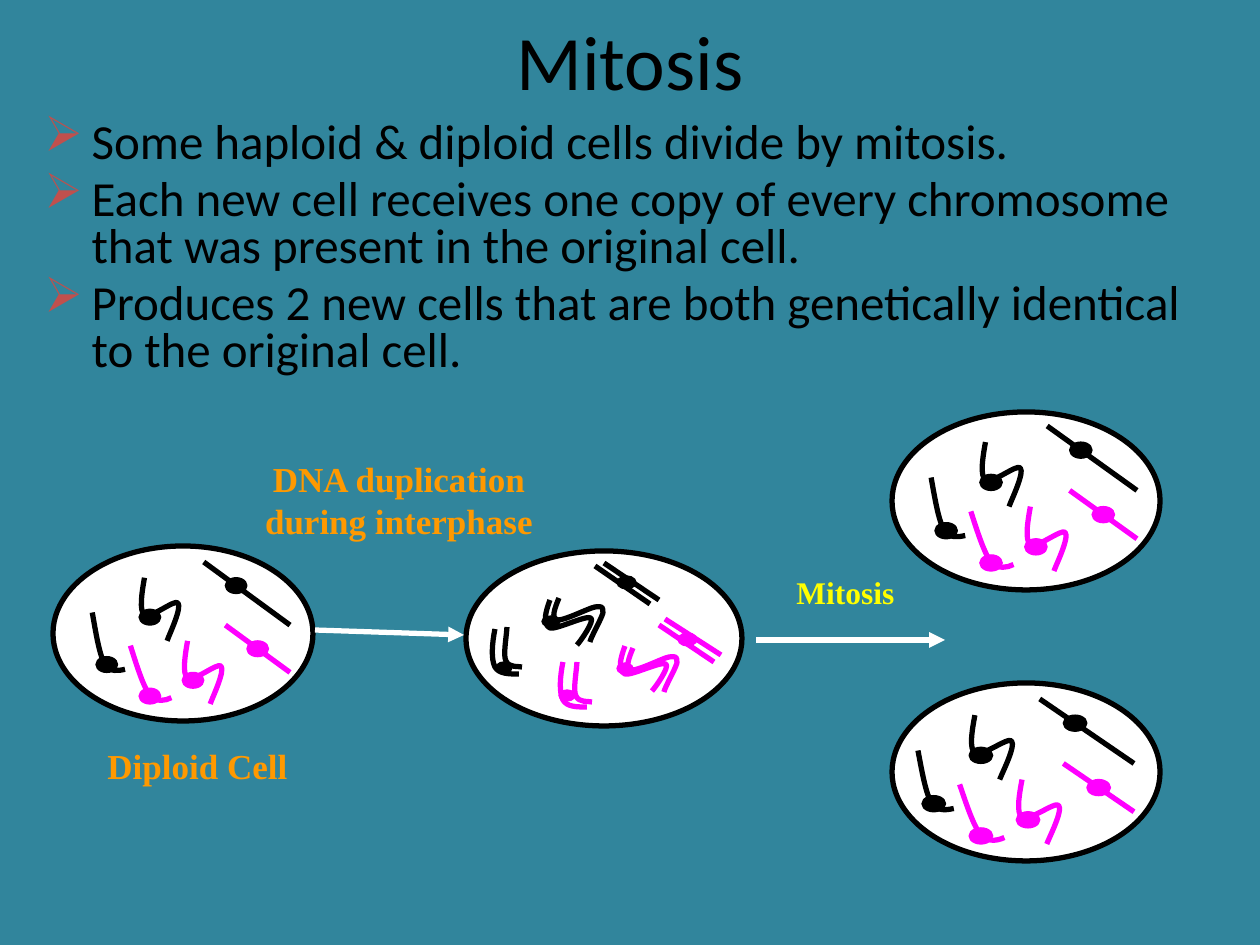
"""Build the slide on mitosis: three statements above a diagram of dividing cells."""
import pptx
import pptx.dml.color
import pptx.enum.shapes
import pptx.enum.text
import pptx.oxml.ns
import pptx.oxml.xmlchemy
import pptx.util

RGB = pptx.dml.color.RGBColor
SHAPES = pptx.enum.shapes.MSO_SHAPE
ALIGN = pptx.enum.text.PP_ALIGN
ANCHOR = pptx.enum.text.MSO_ANCHOR
PX = 914400 / 126

TEAL = RGB(0x31, 0x85, 0x9C)
BLACK = RGB(0, 0, 0)
WHITE = RGB(255, 255, 255)
MAGENTA = RGB(255, 0, 255)
ORANGE = RGB(0xFF, 0x99, 0)
YELLOW = RGB(255, 255, 0)
BULLET_RED = "C0504D"

TITLE = ("Mitosis", (63, -19, 1134, 158))
STATEMENTS = [
    "Some haploid & diploid cells divide by mitosis.",
    "Each new cell receives one copy of every chromosome that was present in the original cell.",
    "Produces 2 new cells that are both genetically identical to the original cell.",
]
STATEMENTS_BOX = (32, 116, 1187, 284)
LABELS = [
    ("DNA duplication during interphase", (231, 451, 336, 91), 20, ORANGE, ALIGN.CENTER),
    ("Mitosis", (746, 567, 199, 48), 18, YELLOW, ALIGN.CENTER),
    ("Diploid Cell", (95, 738, 285, 54), 20, ORANGE, ALIGN.LEFT),
]
ARROWS = [((315, 630), (464, 635)), ((756, 640), (945, 640))]

PLAIN_CELLS = [
    {"outline": (53, 546, 260, 175), "chromosome_area": (96, 562, 194, 142)},
    {"outline": (892, 412, 268, 178), "chromosome_area": (935, 426, 202, 145)},
    {"outline": (892, 683, 268, 178), "chromosome_area": (922, 699, 212, 145)},
]
GRID = 9
FOLDED = [(.25, 0), (.12, 1), (0, 2.1), (.25, 2.35), (.5, 2.65), (1.65, 1.35), (1.8, 1.6),
          (2, 1.9), (1.4, 3.6), (1.3, 4)]
HOOKED = [(-.17, .2), (0, 1.5), (.15, 2.8), (.4, 3.45), (.7, 4), (1, 3.9), (1.35, 3.8)]
TILTED_HOOK = [(-.4, .3), (-.1, 1.6), (.2, 2.9), (.5, 3.45), (.85, 3.9), (1.2, 3.8), (1.5, 3.6)]
SINGLE_SET = {
    "curves": [(FOLDED, (2, 1), BLACK), (HOOKED, (0, 3), BLACK),
               (TILTED_HOOK, (2, 5), MAGENTA), (FOLDED, (4, 5), MAGENTA)],
    "rods": [((5, 0), (9, 4), BLACK), ((6, 4), (9, 7), MAGENTA)],
    "centromeres": [((0, 6, 1, 1), BLACK), ((2, 3, 1, 1), BLACK), ((6, 1, 1, 1), BLACK),
                    ((2, 8, 1, 1), MAGENTA), ((4, 7, 1, 1), MAGENTA), ((7, 5, 1, 1), MAGENTA)],
}

DOUBLED_CELL = (466, 551, 276, 175)
OUTER_HOOK = [(4, 0), (1, 15), (0, 30), (4, 38), (8, 45), (18, 45), (28, 45)]
INNER_HOOK = [(4, 0), (3, 14), (0, 28), (3, 34), (6, 41), (16, 39), (19, 40)]
OUTER_FOLD = [(8, 0), (4, 11), (0, 24), (8, 28), (14, 30), (44, 15), (49, 18),
              (53, 21), (38, 42), (35, 45)]
INNER_FOLD = [(8, 1), (4, 11), (0, 21), (6, 23), (13, 24), (38, 11), (44, 10),
              (52, 9), (52, 10), (52, 16), (50, 23), (40, 40), (39, 45)]
DOUBLED_SET = {
    "curves": [(OUTER_HOOK, (491, 629), BLACK), (INNER_HOOK, (503, 627), BLACK),
               (OUTER_FOLD, (542, 600), BLACK), (INNER_FOLD, (551, 597), BLACK),
               (OUTER_HOOK, (559, 662), MAGENTA), (INNER_HOOK, (573, 662), MAGENTA),
               (OUTER_FOLD, (617, 646), MAGENTA), (INNER_FOLD, (625, 647), MAGENTA)],
    "rods": [((604, 563), (659, 600), BLACK), ((595, 566), (650, 604), BLACK),
             ((665, 619), (721, 655), MAGENTA), ((659, 625), (714, 662), MAGENTA)],
    "centromeres": [((496, 662, 16, 11), BLACK), ((542, 616, 18, 11), BLACK),
                    ((617, 576, 19, 13), BLACK), ((678, 633, 19, 13), MAGENTA),
                    ((559, 690, 16, 11), MAGENTA), ((617, 663, 16, 11), MAGENTA)],
}


def emu(lengths):
    return [round(length * PX) for length in lengths]


def add_child(parent, tag, **attributes):
    child = pptx.oxml.xmlchemy.OxmlElement(tag)
    for key, value in attributes.items():
        child.set(key, value)
    parent.append(child)
    return child


def add_text_frame(slide, box, anchor=ANCHOR.TOP):
    frame = slide.shapes.add_textbox(*emu(box)).text_frame
    frame.word_wrap = True
    frame.vertical_anchor = anchor
    return frame


def add_run(paragraph, text, size, font, color, bold=False):
    run = paragraph.add_run()
    run.text = text
    run.font.size = pptx.util.Pt(size)
    run.font.name = font
    run.font.bold = bold
    run.font.color.rgb = color


def add_statements(slide):
    frame = add_text_frame(slide, STATEMENTS_BOX)
    for index, statement in enumerate(STATEMENTS):
        paragraph = frame.add_paragraph() if index else frame.paragraphs[0]
        paragraph.line_spacing = 0.8
        paragraph.space_before = pptx.util.Pt(5.6 if index else 0)
        properties = paragraph._p.get_or_add_pPr()
        properties.set("marL", "342900")
        properties.set("indent", "-342900")
        add_child(add_child(properties, "a:buClr"), "a:srgbClr", val=BULLET_RED)
        add_child(properties, "a:buChar", char="➢")
        add_run(paragraph, statement, 28, "Calibri", BLACK)


def add_oval(slide, box, fill, line, width):
    oval = slide.shapes.add_shape(SHAPES.OVAL, *emu(box))
    oval.shadow.inherit = False
    oval.fill.solid()
    oval.fill.fore_color.rgb = fill
    oval.line.color.rgb = line
    oval.line.width = pptx.util.Pt(width)


def add_line(slide, start, end, color, arrow=False):
    line = slide.shapes.add_connector(
        pptx.enum.shapes.MSO_CONNECTOR.STRAIGHT, *emu(start), *emu(end))
    line.line.color.rgb = color
    line.line.width = pptx.util.Pt(3)
    if arrow:
        add_child(line.line._get_or_add_ln(), "a:tailEnd", type="triangle")
    add_child(line._element.spPr, "a:effectLst")


def add_curve(slide, points, color):
    start, *rest = [emu(point) for point in points]
    builder = slide.shapes.build_freeform(*start)
    builder.add_line_segments(rest, close=False)
    curve = builder.convert_to_shape()
    curve.shadow.inherit = False
    curve.fill.background()
    curve.line.color.rgb = color
    curve.line.width = pptx.util.Pt(3)
    outline = curve._element.find(".//" + pptx.oxml.ns.qn("a:path"))
    segments = outline.findall(pptx.oxml.ns.qn("a:lnTo"))
    for index in range(0, len(segments), 3):
        bezier = add_child(outline, "a:cubicBezTo")
        for segment in segments[index:index + 3]:
            bezier.append(segment[0])
            outline.remove(segment)


def add_cell(slide, box, chromosomes, origin=(0, 0), unit=(1, 1)):
    def place(point, offset=(0, 0)):
        return [o + (p + d) * u for o, p, d, u in zip(origin, point, offset, unit)]

    add_oval(slide, box, WHITE, BLACK, 3)
    for (left, top, width, height), color in chromosomes["centromeres"]:
        size = [width * unit[0], height * unit[1]]
        add_oval(slide, place((left, top)) + size, color, color, 0.75)
    for points, offset, color in chromosomes["curves"]:
        add_curve(slide, [place(point, offset) for point in points], color)
    for start, end, color in chromosomes["rods"]:
        add_line(slide, place(start), place(end), color)


def main():
    deck = pptx.Presentation()
    deck.slide_width, deck.slide_height = emu((1260, 945))
    slide = deck.slides.add_slide(deck.slide_layouts[6])
    slide.background.fill.solid()
    slide.background.fill.fore_color.rgb = TEAL

    title, title_box = TITLE
    heading = add_text_frame(slide, title_box, ANCHOR.MIDDLE).paragraphs[0]
    heading.alignment = ALIGN.CENTER
    add_run(heading, title, 44, "Calibri", BLACK)
    add_statements(slide)

    for cell in PLAIN_CELLS:
        left, top, width, height = cell["chromosome_area"]
        add_cell(slide, cell["outline"], SINGLE_SET, (left, top), (width / GRID, height / GRID))
    add_cell(slide, DOUBLED_CELL, DOUBLED_SET)
    for start, end in ARROWS:
        add_line(slide, start, end, WHITE, arrow=True)
    for text, box, size, color, alignment in LABELS:
        label = add_text_frame(slide, box).paragraphs[0]
        label.alignment = alignment
        add_run(label, text, size, "Times New Roman", color, bold=True)
    deck.save("out.pptx")


if __name__ == "__main__":
    main()
